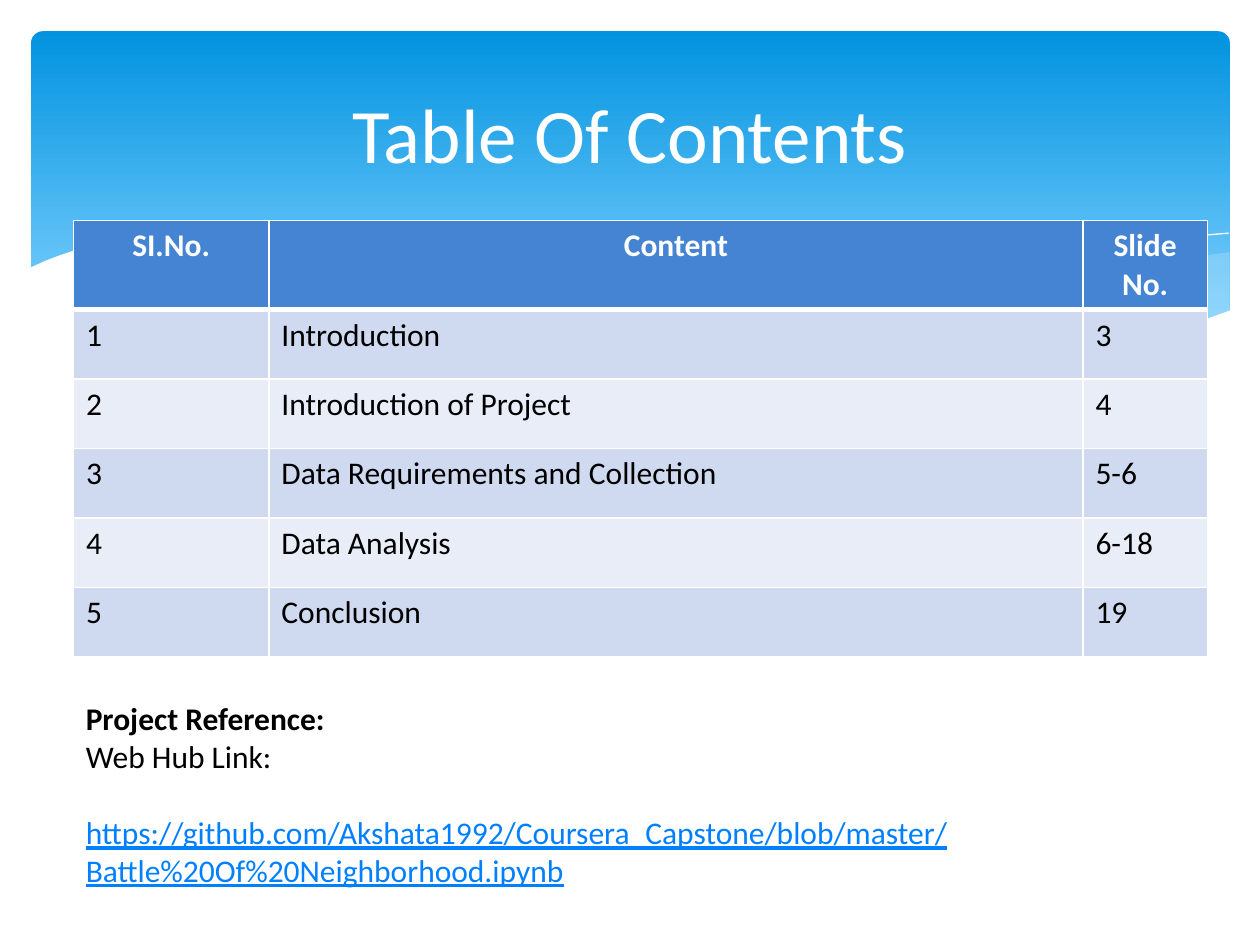
"""Build a table of contents slide with a wave banner and a project reference."""
from lxml import etree
from pptx import Presentation
from pptx.dml.color import RGBColor
from pptx.enum.shapes import MSO_SHAPE
from pptx.enum.text import MSO_ANCHOR, PP_ALIGN
from pptx.oxml.ns import qn
from pptx.util import Cm, Pt

ROUNDED = MSO_SHAPE.ROUNDED_RECTANGLE
MIDDLE = MSO_ANCHOR.MIDDLE
LEFT, CENTER = PP_ALIGN.LEFT, PP_ALIGN.CENTER
FONT = "Calibri"
WHITE = RGBColor(0xFF, 0xFF, 0xFF)
BLACK = RGBColor(0x00, 0x00, 0x00)
BANNER_TOP = RGBColor(0x02, 0x93, 0xE0)
BANNER_BOTTOM = RGBColor(0x83, 0xD3, 0xFE)
WAVE = RGBColor(0xC6, 0xE7, 0xFC)
HEADER = RGBColor(0x45, 0x84, 0xD3)
BANDS = (RGBColor(0xCF, 0xD9, 0xEF), RGBColor(0xE9, 0xED, 0xF7))
LINK = RGBColor(0x00, 0x80, 0xFF)

RIGHT_WAVE = [
    (24.79, 5.08), (24.08, 5.18), (23.01, 5.41), (21.87, 5.66), (19.79, 6.15),
    (18.52, 6.43), (16.79, 6.73), (17.55, 6.83), (18.59, 6.96), (19.84, 7.04),
    (21.21, 7.04), (22.38, 6.93), (23.39, 6.73), (24.1, 6.53), (24.79, 6.27),
]
MIDDLE_WAVE = [
    (22.68, 6.93), (21.26, 6.73), (19.69, 6.45), (17.93, 6.1), (15.98, 5.64),
    (14.45, 5.28), (13.06, 5.03), (11.81, 4.85), (10.67, 4.75), (9.17, 4.7),
    (7.95, 4.78), (7.26, 4.85), (8.69, 5.05), (10.26, 5.36), (12.47, 5.89),
    (14.38, 6.3), (16.51, 6.71), (18.34, 6.96), (20.5, 7.06), (21.77, 7.04),
]
FALLING_LINE = [
    (7.85, 4.95), (8.97, 4.8), (10.57, 4.75), (12.42, 4.83), (14.12, 5),
    (16.15, 5.28), (18.47, 5.74), (20.19, 6.12), (23.04, 6.91),
]
RISING_LINE = [
    (15.57, 6.53), (17.65, 5.97), (19.71, 5.49), (21.23, 5.18), (22.73, 4.93),
    (23.83, 4.78), (24.77, 4.7),
]
WHITE_WAVE = [
    (24.82, 6.25), (24.13, 6.5), (23.37, 6.73), (22.53, 6.88), (21.59, 6.99),
    (20.55, 7.04), (19.33, 6.99), (17.98, 6.86), (16.46, 6.65), (14.71, 6.35),
    (12.78, 5.92), (11.35, 5.59), (9.93, 5.26), (8.64, 5), (7.42, 4.83),
    (6.35, 4.72), (5.36, 4.67), (4.5, 4.67), (3.71, 4.7), (3.02, 4.75),
    (2.41, 4.85), (1.93, 4.95), (1.5, 5.05), (1.17, 5.16), (0.91, 5.26),
    (0.58, 5.41), (0.58, 8.36), (24.82, 8.36),
]
CONTENTS = [
    ("SI.No.", "Content", "Slide No."),
    ("1", "Introduction", "3"),
    ("2", "Introduction of Project", "4"),
    ("3", "Data Requirements and Collection", "5-6"),
    ("4", "Data Analysis", "6-18"),
    ("5", "Conclusion", "19"),
]
COLUMN_WIDTHS = (3.94, 16.41, 2.51)
HEADER_HEIGHT, ROW_HEIGHT = 1.78, 1.4
URL = (
    "https://github.com/Akshata1992/Coursera_Capstone/blob/master/"
    "Battle%20Of%20Neighborhood.ipynb"
)


def add_run(paragraph, text, size=18, color=BLACK, bold=False, underline=False):
    """Append a formatted run to a paragraph."""
    run = paragraph.add_run()
    run.text = text
    font = run.font
    font.name, font.size, font.bold, font.underline = FONT, Pt(size), bold, underline
    font.color.rgb = color


def add_banner(slide):
    """Draw the rounded gradient panel."""
    banner = slide.shapes.add_shape(ROUNDED, Cm(0.63), Cm(0.63), Cm(24.16), Cm(6.86))
    banner.adjustments[0] = 0.034
    banner.shadow.inherit = False
    banner.line.fill.background()
    banner.fill.gradient()
    banner.fill.gradient_angle = 270
    stops = banner.fill.gradient_stops
    for stop, position, color in zip(stops, (0, 0.9), (BANNER_TOP, BANNER_BOTTOM)):
        stop.position = position
        stop.color.rgb = color


def add_outline(slide, points, closed):
    """Build a freeform through points given in centimetres."""
    units = [(round(x * 100), round(y * 100)) for x, y in points]
    builder = slide.shapes.build_freeform(*units[0], scale=Cm(0.01))
    builder.add_line_segments(units[1:], close=closed)
    shape = builder.convert_to_shape()
    shape.shadow.inherit = False
    return shape


def add_wave(slide, points, color, opacity=100):
    """Draw a filled wave with the given opacity in percent."""
    wave = add_outline(slide, points, True)
    wave.line.fill.background()
    wave.fill.solid()
    wave.fill.fore_color.rgb = color
    if opacity < 100:
        color_element = wave.element.spPr.find(qn("a:solidFill"))[0]
        etree.SubElement(color_element, qn("a:alpha"), val=str(opacity * 1000))


def add_wave_line(slide, points):
    """Draw a thin white curve."""
    curve = add_outline(slide, points, False)
    curve.fill.background()
    curve.line.color.rgb = WHITE
    curve.line.width = Pt(0)


def format_title(slide):
    """Place the title above the banner and write it."""
    title = slide.shapes.title
    title.element.getparent().append(title.element)
    title.left, title.top, title.width, title.height = Cm(1.27), Cm(0.94), Cm(22.86), Cm(3.48)
    title.text_frame.vertical_anchor = MIDDLE
    paragraph = title.text_frame.paragraphs[0]
    paragraph.alignment = CENTER
    add_run(paragraph, "Table Of Contents", 44, WHITE)


def set_borders(cell, top, bottom):
    """Give a cell white borders with the given top and bottom widths in points."""
    properties = cell._tc.get_or_add_tcPr()
    for side, width in (("L", 1), ("R", 1), ("T", top), ("B", bottom)):
        line = etree.SubElement(properties, qn(f"a:ln{side}"), w=str(Pt(width)))
        fill = etree.SubElement(line, qn("a:solidFill"))
        etree.SubElement(fill, qn("a:srgbClr"), val=str(WHITE))


def add_contents_table(slide):
    """Add the banded table of contents."""
    height = HEADER_HEIGHT + ROW_HEIGHT * (len(CONTENTS) - 1)
    table = slide.shapes.add_table(
        len(CONTENTS), len(COLUMN_WIDTHS), Cm(1.48), Cm(4.44),
        Cm(sum(COLUMN_WIDTHS)), Cm(height),
    ).table
    for column, width in zip(table.columns, COLUMN_WIDTHS):
        column.width = Cm(width)
    for row_index, texts in enumerate(CONTENTS):
        is_header = row_index == 0
        table.rows[row_index].height = Cm(HEADER_HEIGHT if is_header else ROW_HEIGHT)
        for column_index, text in enumerate(texts):
            cell = table.cell(row_index, column_index)
            set_borders(cell, 3 if row_index == 1 else 1, 3 if is_header else 1)
            cell.fill.solid()
            cell.fill.fore_color.rgb = HEADER if is_header else BANDS[(row_index - 1) % 2]
            paragraph = cell.text_frame.paragraphs[0]
            paragraph.alignment = CENTER if is_header else LEFT
            add_run(paragraph, text, color=WHITE if is_header else BLACK, bold=is_header)


def add_reference(slide):
    """Add the project reference with its address."""
    frame = slide.shapes.add_textbox(Cm(1.48), Cm(13.97), Cm(22.66), Cm(4.4)).text_frame
    frame.word_wrap = True
    add_run(frame.paragraphs[0], "Project Reference:", bold=True)
    add_run(frame.add_paragraph(), "Web Hub Link:")
    address = frame.add_paragraph()
    address.space_before = Pt(22)
    add_run(address, URL, color=LINK, underline=True)


def main():
    """Build and save the presentation."""
    presentation = Presentation()
    presentation.slide_width, presentation.slide_height = Cm(25.4), Cm(19.05)
    slide = presentation.slides.add_slide(presentation.slide_layouts[5])
    add_banner(slide)
    add_wave(slide, RIGHT_WAVE, WAVE, 29)
    add_wave(slide, MIDDLE_WAVE, WAVE, 40)
    add_wave_line(slide, FALLING_LINE)
    add_wave_line(slide, RISING_LINE)
    add_wave(slide, WHITE_WAVE, WHITE)
    add_contents_table(slide)
    format_title(slide)
    add_reference(slide)
    presentation.save("out.pptx")


if __name__ == "__main__":
    main()
